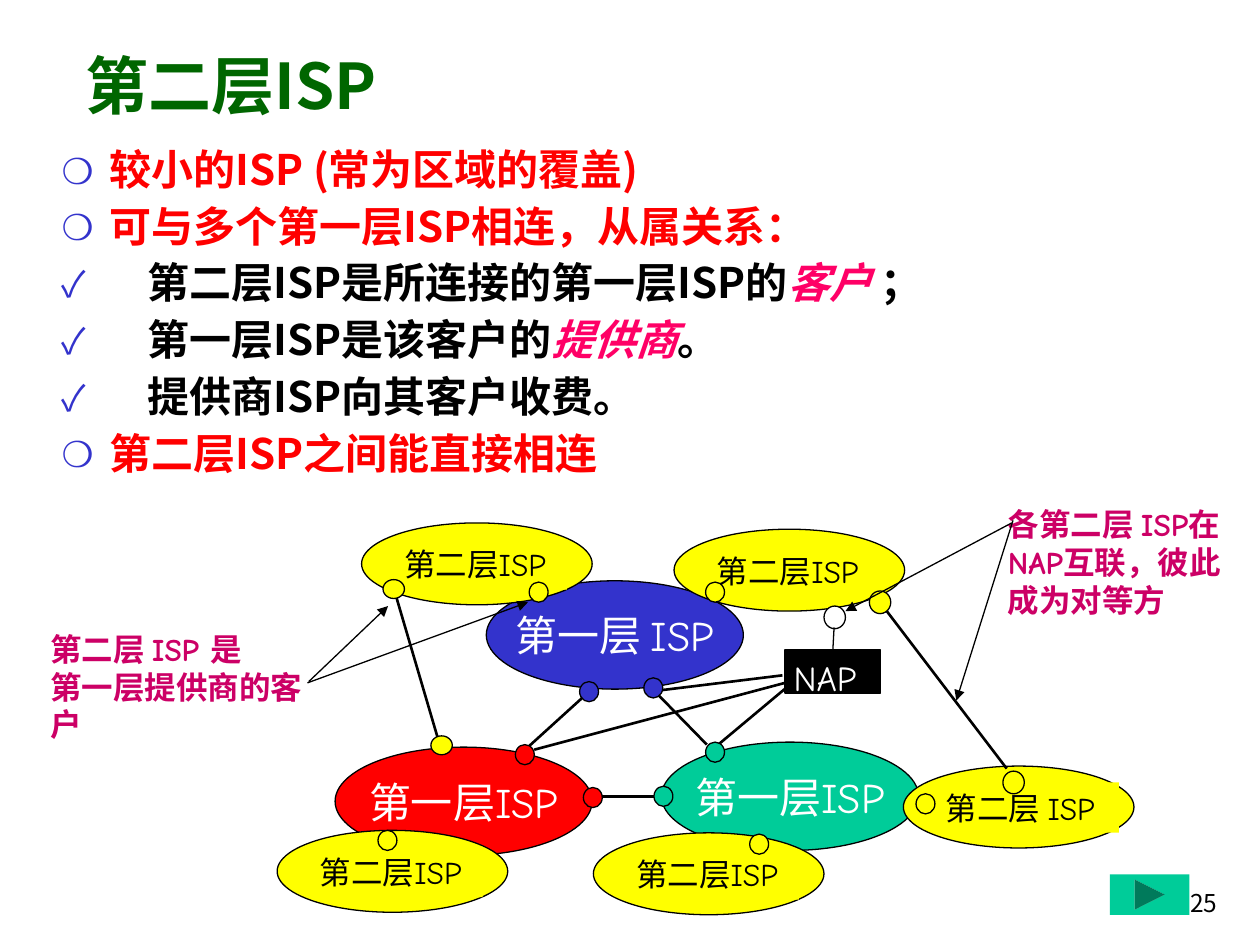
import pptx
import pptx.dml.color
import pptx.enum.shapes
import pptx.enum.text
import pptx.oxml.ns
import pptx.util
from lxml import etree

RGB = pptx.dml.color.RGBColor
SHAPE = pptx.enum.shapes.MSO_SHAPE
ALIGN = pptx.enum.text.PP_ALIGN
ANCHOR = pptx.enum.text.MSO_ANCHOR
Pt = pptx.util.Pt

WHITE = RGB(0xFF, 0xFF, 0xFF)
BLACK = RGB(0, 0, 0)
DARK_GREEN = RGB(0, 0x66, 0)
TEAL = RGB(0, 0xCC, 0x99)
BLUE = RGB(0x33, 0x33, 0xCC)
RED = RGB(0xFF, 0, 0)
YELLOW = RGB(0xFF, 0xFF, 0)
PINK = RGB(0xFF, 0, 0x66)
MAGENTA = RGB(0xCC, 0, 0x66)

SANS = "Noto Sans CJK SC"
COMIC = "Comic Neue"

TITLE = {"name": SANS, "size": Pt(36), "bold": True}
BODY = {"name": SANS, "size": Pt(24), "bold": True}
STRESSED = {**BODY, "italic": True}
NUMBER = {"name": SANS, "size": Pt(14)}
TIER_ONE = {"name": COMIC, "size": Pt(24)}
TIER_TWO = {"name": COMIC, "size": Pt(18)}
NAP_LABEL = {"name": COMIC, "size": Pt(20)}
NOTE = {**TIER_TWO, "bold": True}

CIRCLE, CHECK = ("❍", 0.38), ("✓", 0.68)
BULLETS = [
    (CIRCLE, [("较小的ISP (常为区域的覆盖)", BODY, RED)]),
    (CIRCLE, [("可与多个第一层ISP相连，从属关系：", BODY, RED)]),
    (CHECK, [("第二层ISP是所连接的第一层ISP的", BODY, BLACK),
             ("客户", STRESSED, PINK), (" ；", BODY, BLACK)]),
    (CHECK, [("第一层ISP是该客户的", BODY, BLACK),
             ("提供商", STRESSED, PINK), ("。", BODY, BLACK)]),
    (CHECK, [("提供商ISP向其客户收费。", BODY, BLACK)]),
    (CIRCLE, [("第二层ISP之间能直接相连", BODY, RED)]),
]

# Places on the slide count cells of a 100 x 75 grid.
TIER_ONE_SITES = [
    (38.6, 46.1, "第一层 ISP", BLUE),
    (26.6, 59.3, "第一层ISP", RED),
    (52.5, 58.9, "第一层ISP", TEAL),
]
TIER_TWO_SITES = [
    (53.5, 42.0, "第二层ISP", 13.9),
    (28.7, 41.5, "第二层ISP", 13.9),
    (22.0, 65.9, "第二层ISP", 13.9),
    (47.1, 66.1, "第二层ISP", 13.9),
    (71.7, 60.8, "第二层 ISP", 14.7),
]
UPRIGHT, WIDE, LARGE = (1.5, 1.6), (1.7, 1.5), (1.7, 1.8)
DOTS = [
    (UPRIGHT, BLUE, [(46.0, 54.1), (51.1, 53.8)]),
    (UPRIGHT, RED, [(40.9, 59.1), (46.3, 62.5)]),
    (UPRIGHT, TEAL, [(56.0, 58.9), (51.9, 62.4)]),
    (UPRIGHT, YELLOW, [(56.0, 46.2), (42.0, 46.2), (30.0, 65.9),
                       (59.5, 66.2), (72.7, 63.0)]),
    (WIDE, YELLOW, [(30.4, 46.0), (34.2, 58.4)]),
    (LARGE, YELLOW, [(69.0, 46.9), (79.6, 61.2)]),
    (LARGE, WHITE, [(65.4, 48.1)]),
]
LINKS = [
    (62.5, 54.5, 57.0, 59.1), (62.1, 53.6, 52.3, 54.8),
    (47.8, 63.2, 51.9, 63.2), (52.1, 55.0, 56.1, 59.1),
    (41.9, 59.3, 46.2, 55.4), (62.3, 54.2, 42.4, 59.5),
    (31.4, 47.2, 34.9, 59.1), (70.3, 48.4, 79.9, 61.0),
]
POINTERS = [
    (24.4, 54.2, 41.9, 47.8), (24.5, 54.1, 30.8, 48.1),
    (80.4, 41.3, 75.9, 55.6), (80.3, 41.5, 67.1, 48.5),
]


def grid(*cells):
    return [pptx.util.Inches(cell / 10) for cell in cells]


def add_xml(parent, tag, **values):
    return etree.SubElement(parent, pptx.oxml.ns.qn(tag), values)


def add_span(para, words, font_format, color):
    span = para.add_run()
    span.text = words
    for key, value in font_format.items():
        setattr(span.font, key, value)
    span.font.color.rgb = color
    add_xml(span._r.get_or_add_rPr(), "a:ea", typeface=SANS)


def write(shape, words, font_format, color, align=ALIGN.LEFT, anchor=ANCHOR.TOP, wrap=False):
    frame = shape.text_frame
    frame.word_wrap = wrap
    frame.vertical_anchor = anchor
    for index, line in enumerate(words.split("\n")):
        para = frame.add_paragraph() if index else frame.paragraphs[0]
        para.alignment = align
        add_span(para, line, font_format, color)


def add_text(page, place, words, font_format, color, **layout):
    box = page.shapes.add_textbox(*grid(*place))
    write(box, words, font_format, color, **layout)


def add_bullets(page, place):
    frame = page.shapes.add_textbox(*grid(*place)).text_frame
    frame.word_wrap = True
    for index, ((mark, indent), spans) in enumerate(BULLETS):
        para = frame.add_paragraph() if index else frame.paragraphs[0]
        if index:
            para.space_before = Pt(3.6)
        properties = para._p.get_or_add_pPr()
        hang = pptx.util.Inches(indent)
        properties.set("marL", str(hang))
        properties.set("indent", str(-hang))
        add_xml(add_xml(properties, "a:buClr"), "a:srgbClr", val=str(BLUE))
        add_xml(properties, "a:buSzPct", val="85000")
        add_xml(properties, "a:buFont", typeface=SANS)
        add_xml(properties, "a:buChar", char=mark)
        for span in spans:
            add_span(para, *span)


def add_figure(page, kind, place, fill, outlined=True):
    shape = page.shapes.add_shape(kind, *grid(*place))
    shape.shadow.inherit = False
    shape.fill.solid()
    shape.fill.fore_color.rgb = fill
    if outlined:
        shape.line.color.rgb = BLACK
        shape.line.width = Pt(0.75)
    else:
        shape.line.fill.background()
    return shape


def add_line(page, ends, width, arrow=False):
    line = page.shapes.add_connector(pptx.enum.shapes.MSO_CONNECTOR.STRAIGHT, *grid(*ends))
    line.line.color.rgb = BLACK
    line.line.width = Pt(width)
    if arrow:
        add_xml(line.line._get_or_add_ln(), "a:tailEnd", type="triangle")
    add_xml(line._element.spPr, "a:effectLst")
    return line


def add_networks(page):
    for left, top, words, fill in TIER_ONE_SITES:
        cloud = add_figure(page, SHAPE.OVAL, (left, top, 20.4, 8.6), fill)
        write(cloud, words, TIER_ONE, WHITE, align=ALIGN.CENTER, anchor=ANCHOR.MIDDLE)
    for left, top, words, width in TIER_TWO_SITES:
        add_figure(page, SHAPE.OVAL, (left, top, 18.3, 6.5), YELLOW)
        label = add_figure(page, SHAPE.RECTANGLE, (left + 2.4, top + 1.3, width, 4), YELLOW, False)
        write(label, words, TIER_TWO, BLACK)


def add_links(page):
    for ends in LINKS:
        add_line(page, ends, 1.5)
    for size, fill, places in DOTS:
        for place in places:
            add_figure(page, SHAPE.OVAL, place + size, fill)
    nap = add_figure(page, SHAPE.RECTANGLE, (62.3, 51.6, 7.6, 3.4), BLACK)
    add_text(page, (62, 51.6, 7.7, 4.3), "NAP", NAP_LABEL, WHITE)
    add_line(page, (66.2, 49.8, 66.1, 51.6), 0.75).end_connect(nap, 0)


def add_notes(page):
    add_text(page, (3, 49.5, 22.4, 10), "第二层 ISP 是\n第一层提供商的客户", NOTE, MAGENTA, wrap=True)
    add_text(page, (79, 39.6, 19.7, 10), "各第二层 ISP在NAP互联，彼此成为对等方", NOTE, MAGENTA, wrap=True)
    for ends in POINTERS:
        add_line(page, ends, 0.75, arrow=True)


def main():
    deck = pptx.Presentation()
    deck.slide_width, deck.slide_height = grid(100, 75)
    page = deck.slides.add_slide(deck.slide_layouts[6])
    add_text(page, (90.8, 70, 6.8, 5), "25", NUMBER, BLACK, align=ALIGN.RIGHT, wrap=True)
    add_text(page, (5.8, 2.5, 88.5, 8.4), "第二层ISP", TITLE, DARK_GREEN, anchor=ANCHOR.MIDDLE, wrap=True)
    add_bullets(page, (3.9, 10.9, 92.3, 28.7))
    add_networks(page)
    add_links(page)
    add_notes(page)
    add_figure(page, SHAPE.ACTION_BUTTON_FORWARD_OR_NEXT, (88.1, 69.4, 6.3, 3.2), TEAL, False)
    deck.save("out.pptx")


if __name__ == "__main__":
    main()
